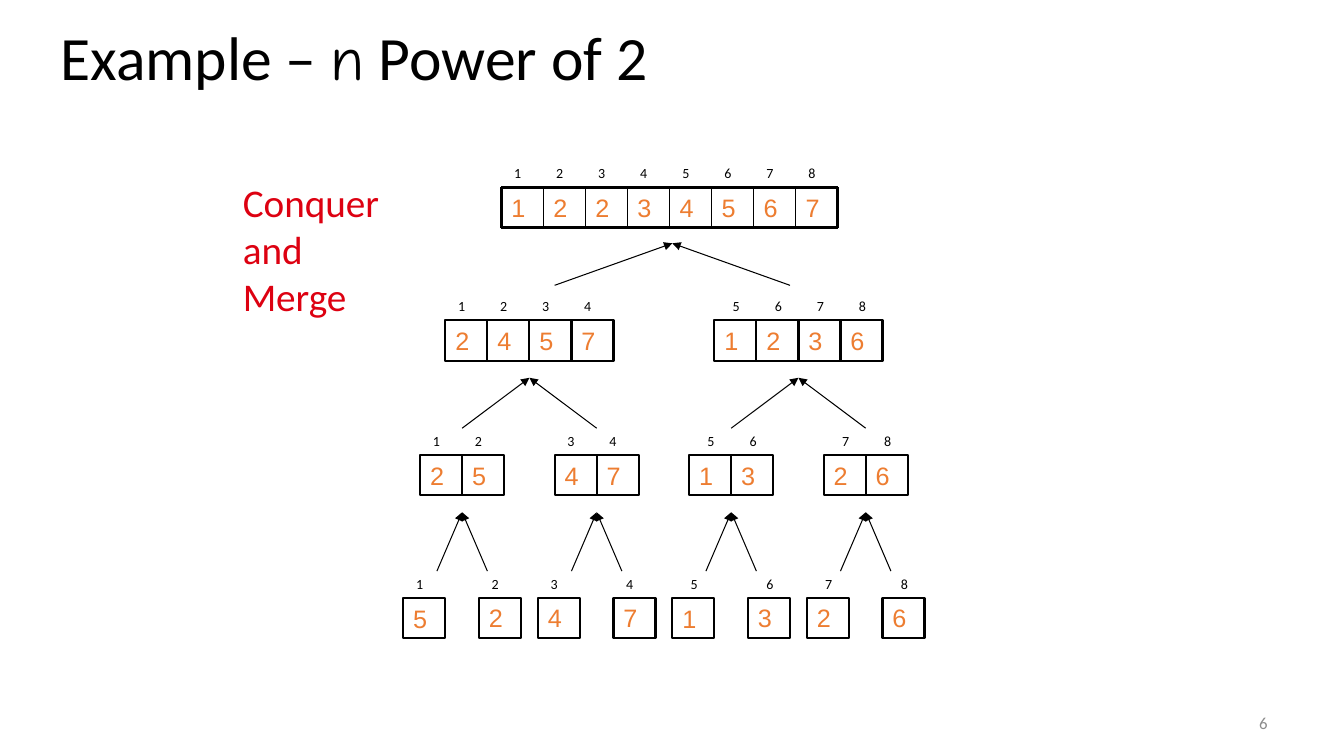
from lxml.etree import SubElement as Sub
from pptx import Presentation
from pptx.dml.color import RGBColor as RGB
from pptx.enum.shapes import MSO_CONNECTOR as Link, MSO_SHAPE as Form
from pptx.enum.text import MSO_ANCHOR as Anchor, MSO_AUTO_SIZE as Fit, PP_ALIGN as Align
from pptx.oxml.ns import qn
from pptx.util import Inches, Pt

INK = {"black": "000000", "orange": "ED7D31", "red": "DD0111", "gray": "8C8C8C"}
COLS = 62
CELL = 5
HIGH = 4.83
ROWS = [
    (8, 3.33, "12234567"),
    (4, 19.17, "24571236"),
    (2, 35.17, "25471326"),
    (1, 52.17, "52471326"),
]
FORKS = [
    ((-17, 15), 14, 10, 15),
    ((-8, 8), 8, 26, 32),
    ((-4.5, 4.5), 3, 42, 49),
]


def style(par, size, ink, face="Calibri"):
    """Set the font of a paragraph."""
    par.font.size = Pt(size)
    par.font.name = face
    par.font.color.rgb = RGB.from_string(INK[ink])


def write(shape, words, size, ink, face="Calibri"):
    """Fill a shape with lines of text in one style."""
    frame = shape.text_frame
    frame.word_wrap = True
    frame.vertical_anchor = Anchor.TOP
    frame.text = words
    for par in frame.paragraphs:
        par.alignment = Align.LEFT
        style(par, size, ink, face)
    return frame


def line(slide, start, end, width, arrow=False):
    """Draw a black line, with an arrowhead at its start if asked."""
    link = slide.shapes.add_connector(Link.STRAIGHT, *map(int, start + end))
    link.line.color.rgb = RGB.from_string(INK["black"])
    link.line.width = Pt(width)
    if arrow:
        Sub(link.line._get_or_add_ln(), qn("a:headEnd"), type="triangle")
    Sub(link._element.spPr, qn("a:effectLst"))


def cell(slide, box, digit, framed, mid):
    """Place one number of an array."""
    box = [int(v) for v in box]
    if framed:
        shape = slide.shapes.add_shape(Form.RECTANGLE, *box)
        shape.shadow.inherit = False
        shape.fill.background()
        shape.line.color.rgb = RGB.from_string(INK["black"])
        shape.line.width = Pt(1.5)
    else:
        shape = slide.shapes.add_textbox(*box)
    frame = write(shape, digit, 18, "orange", "Arial")
    if mid:
        frame.vertical_anchor = Anchor.MIDDLE
        frame.word_wrap = False


def rule(slide, x, y, u):
    """Rule the full array: thick outside, thin between cells."""
    wide, low = 8 * CELL * u, y + HIGH * u
    for edge in (y, low):
        line(slide, (x, edge), (x + wide, edge), 2.25)
    for i in range(9):
        at = x + i * CELL * u
        line(slide, (at, y), (at, low), 2.25 if i in (0, 8) else 1)


def row(slide, x, y, u, mids, level):
    """Place the arrays of one level with their index labels."""
    size, top, digits = level
    whole = size == 8
    for i, digit in enumerate(digits):
        part, k = divmod(i, size)
        left = mids[part] - size * CELL / 2 + k * CELL - (0.33 if whole else 0)
        late = i >= 4 and not whole
        tag = slide.shapes.add_textbox(
            int(x + (left + (1 if late else 0.33)) * u), int(y + (top - 3.27) * u),
            3 * u, Inches(0.27))
        write(tag, str(i + 1), 10, "black")
        cell(slide, (x + left * u, y + top * u, CELL * u, HIGH * u), digit,
             not whole, i == 0 or (i == 4 and late))
    if whole:
        rule(slide, x + (mids[0] - 20.33) * u, y + top * u, u)


def tree(slide, x, y, w):
    """Build the merge tree on a grid of equal columns."""
    u = w // COLS
    mids = [32]
    for level, fork in zip(ROWS, FORKS + [None]):
        row(slide, x, y, u, mids, level)
        if fork:
            steps, reach, tip, tail = fork
            for mid in mids:
                for side in (-reach, reach):
                    line(slide, (x + mid * u, y + tip * u),
                         (x + (mid + side) * u, y + tail * u), 0.75, True)
            mids = [mid + step for mid in mids for step in steps]


def head(slide, x, y, w, h):
    """Fill and place the title."""
    title = slide.shapes.title
    title.left, title.top, title.width, title.height = x, y, w, h
    title.text_frame.vertical_anchor = Anchor.MIDDLE
    par = title.text_frame.paragraphs[0]
    par.alignment = Align.LEFT
    par.line_spacing = 0.9
    for words, face in (("Example – ", "Calibri"), ("n", "Comic Neue"),
                        (" Power of 2", "Calibri")):
        run = par.add_run()
        run.text = words
        style(run, 44, "black", face)


def note(slide, x, y, w, h):
    """Place the red caption beside the tree."""
    frame = write(slide.shapes.add_textbox(x, y, w, h),
                  "Conquer\nand\nMerge", 28, "red")
    frame.word_wrap = False
    frame.auto_size = Fit.SHAPE_TO_FIT_TEXT


def foot(slide, x, y, w, h):
    """Place the page number."""
    frame = write(slide.shapes.add_textbox(x, y, w, h), "6", 12, "gray")
    frame.vertical_anchor = Anchor.MIDDLE
    frame.paragraphs[0].alignment = Align.RIGHT


def main():
    """Build and save the slide."""
    deck = Presentation()
    deck.slide_width, deck.slide_height = Inches(13.33), Inches(7.5)
    slide = deck.slides.add_slide(deck.slide_layouts[5])
    head(slide, *map(Inches, (0.5, 0.11, 12, 0.99)))
    tree(slide, *map(Inches, (4, 1.58, 5.17)))
    note(slide, *map(Inches, (2.31, 1.72, 1.57, 1.51)))
    foot(slide, *map(Inches, (9.56, 7, 3.11, 0.35)))
    deck.save("out.pptx")


if __name__ == "__main__":
    main()
